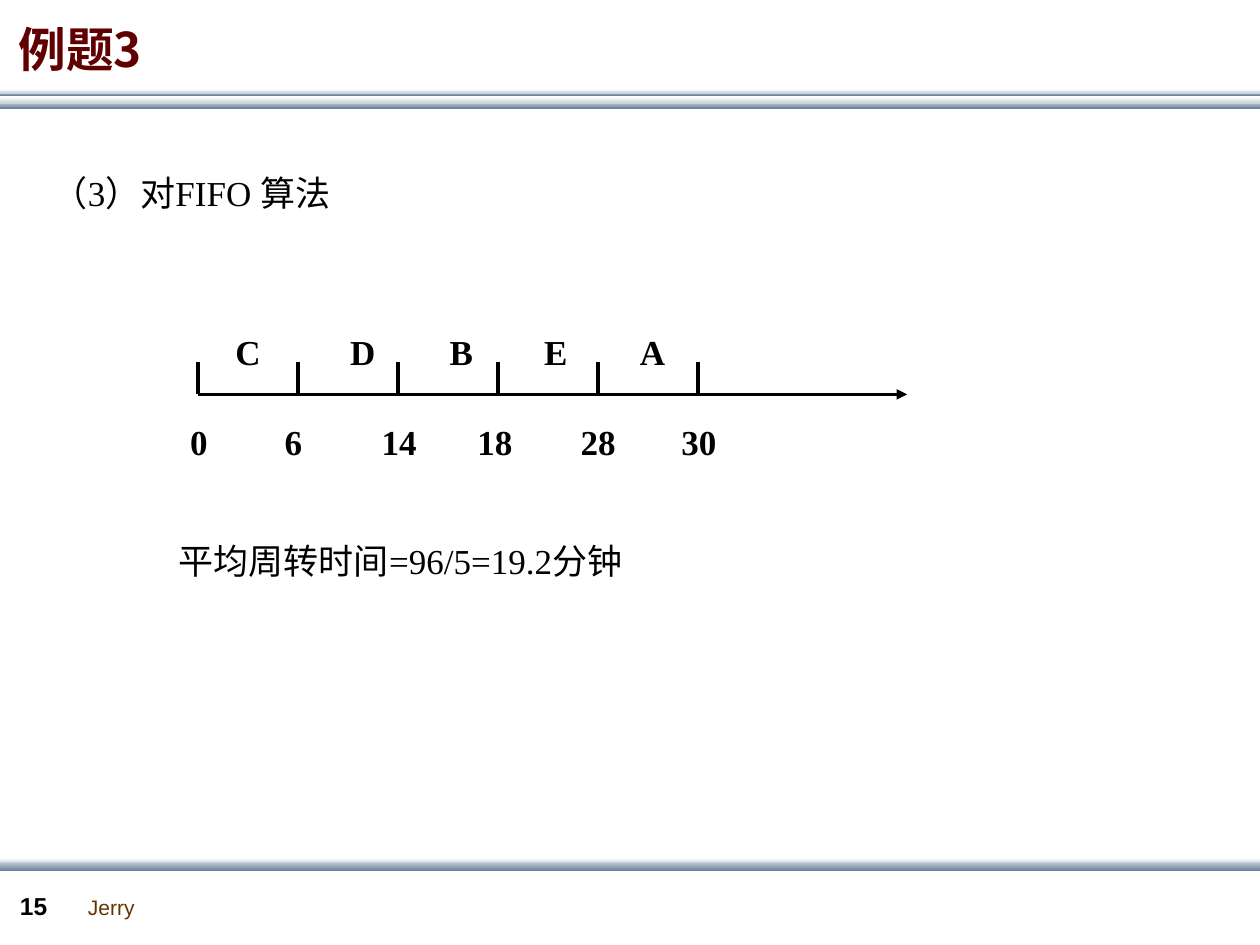
from lxml import etree
from pptx import Presentation
from pptx.dml.color import RGBColor
from pptx.enum.shapes import MSO_CONNECTOR, MSO_SHAPE
from pptx.enum.text import MSO_ANCHOR
from pptx.oxml.ns import qn
from pptx.util import Inches, Pt

RECT = MSO_SHAPE.RECTANGLE
STRAIGHT = MSO_CONNECTOR.STRAIGHT
TOP, MIDDLE = MSO_ANCHOR.TOP, MSO_ANCHOR.MIDDLE

SERIF, SANS, CJK = "Times New Roman", "Arial", "Noto Sans CJK SC"
BLACK, BROWN, MAROON = "000000", "663300", "600000"
WHITE, PALE, STEEL = "FFFFFF", "C8D1DA", "6A839C"


def rgb(value):
    return RGBColor.from_string(value)


def add_text(s, x, y, w, h, text, size=20, font=SERIF, color=BLACK, bold=False,
             anchor=TOP, wrap=True, line_spacing=None):
    tf = s.shapes.add_textbox(Inches(x), Inches(y), Inches(w), Inches(h)).text_frame
    tf.word_wrap = wrap
    tf.vertical_anchor = anchor
    p = tf.paragraphs[0]
    p.line_spacing = line_spacing
    r = p.add_run()
    r.text = text
    r.font.size, r.font.name, r.font.bold = Pt(size), font, bold
    r.font.color.rgb = rgb(color)
    etree.SubElement(r.font._element, qn("a:ea"), typeface=CJK)


def add_band(s, y, h, top_color, bottom_color):
    """Full-width bar shaded from top to bottom."""
    sp = s.shapes.add_shape(RECT, 0, Inches(y), Inches(10.01), Inches(h))
    sp.shadow.inherit = False
    sp.line.fill.background()
    sp.fill.gradient()
    sp.fill.gradient_angle = 270
    for stop, color in zip(sp.fill.gradient_stops, (top_color, bottom_color)):
        stop.color.rgb = rgb(color)


def add_line(s, x1, y1, x2, y2, arrow=False):
    line = s.shapes.add_connector(STRAIGHT, Inches(x1), Inches(y1), Inches(x2), Inches(y2))
    line.line.width = Pt(2)
    line.line.color.rgb = rgb(BLACK)
    if arrow:
        etree.SubElement(line.line._get_or_add_ln(), qn("a:tailEnd"), type="triangle")
    etree.SubElement(line._element.spPr, qn("a:effectLst"))


def add_header(s, y, title):
    add_band(s, y + 0.81, 0.05, PALE, STEEL)
    add_band(s, y + 0.73, 0.03, PALE, STEEL)
    add_band(s, y + 0.77, 0.05, WHITE, PALE)
    add_band(s, y + 0.71, 0.03, WHITE, PALE)
    add_text(s, 0.05, y, 1.36, 0.83, title, 27.2, CJK, MAROON, True, MIDDLE,
             line_spacing=0.9)


def add_footer(s, y, number, author):
    add_band(s, y, 0.05, WHITE, PALE)
    add_band(s, y + 0.03, 0.07, PALE, STEEL)
    add_text(s, 0.6, y + 0.24, 0.57, 0.3, author, 12, SANS, BROWN, wrap=False)
    add_text(s, 0.06, y + 0.21, 0.55, 0.34, number, 14, SANS, bold=True)


def add_timeline(s, x, y, w, jobs, times):
    """Time axis; jobs and times are (label, offset from x) pairs."""
    axis_y, tick_gap = y + 0.56, 0.794
    add_line(s, x, axis_y, x + w, axis_y, arrow=True)
    for i in range(len(times)):
        tick_x = x + i * tick_gap
        add_line(s, tick_x, axis_y, tick_x, axis_y - 0.26)
    for label, dx in jobs:
        add_text(s, x + dx, y, 0.56, 0.44, label, bold=True)
    for label, dx in times:
        add_text(s, x + dx, y + 0.72, 0.69, 0.44, label, bold=True)


def main():
    prs = Presentation()
    prs.slide_width, prs.slide_height = Inches(10), Inches(7.5)
    s = prs.slides.add_slide(prs.slide_layouts[6])
    add_header(s, 0, "例题3")
    add_footer(s, 6.81, "15", "Jerry")
    add_text(s, 0.32, 1.31, 8.39, 0.44, "（3）对FIFO 算法")
    add_timeline(
        s, 1.57, 2.57, 5.63,
        jobs=[("C", 0.2), ("D", 1.11), ("B", 1.9), ("E", 2.65), ("A", 3.41)],
        times=[("0", -0.16), ("6", 0.59), ("14", 1.36), ("18", 2.12),
               ("28", 2.94), ("30", 3.74)])
    add_text(s, 1.32, 4.23, 5.97, 0.44, "平均周转时间=96/5=19.2分钟")
    prs.save("out.pptx")


if __name__ == "__main__":
    main()
